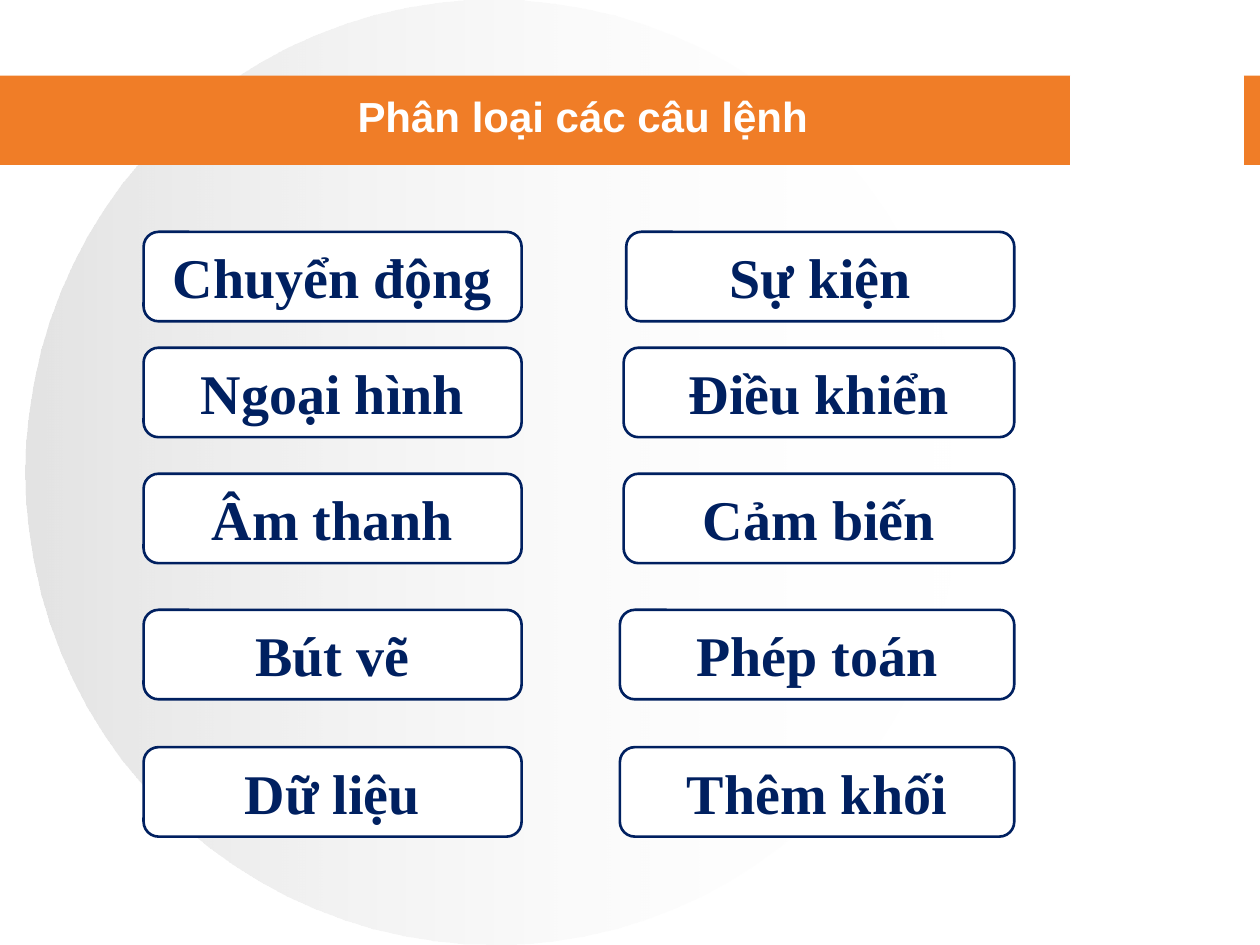
from lxml import etree
from pptx import Presentation
from pptx.dml.color import RGBColor
from pptx.enum.shapes import MSO_SHAPE
from pptx.enum.text import MSO_ANCHOR, MSO_AUTO_SIZE, PP_ALIGN
from pptx.oxml.ns import qn
from pptx.util import Inches, Pt

ELLIPSE = MSO_SHAPE.OVAL
RECTANGLE = MSO_SHAPE.RECTANGLE
ROUNDED = MSO_SHAPE.ROUNDED_RECTANGLE
TOP, MIDDLE = MSO_ANCHOR.TOP, MSO_ANCHOR.MIDDLE
CENTER = PP_ALIGN.CENTER
GROW = MSO_AUTO_SIZE.SHAPE_TO_FIT_TEXT
NO_FIT = MSO_AUTO_SIZE.NONE

WHITE, ORANGE, NAVY, SILVER = "FFFFFF", "F07D27", "002060", "C0C0C0"
TITLE_ONLY = 5
BAR_HEIGHT = 0.71
CARD_RIGHT = 8.05

ROWS = [
    (1.84, "Chuyển động", "Sự kiện", 4.97),
    (2.76, "Ngoại hình", "Điều khiển", 4.95),
    (3.76, "Âm thanh", "Cảm biến", 4.95),
    (4.84, "Bút vẽ", "Phép toán", 4.92),
    (5.93, "Dữ liệu", "Thêm khối", 4.92),
]


def color(value):
    return RGBColor.from_string(value)


def add_shape(page, kind, left, top, width, height, fill=None, line=None, weight=0.75):
    shape = page.shapes.add_shape(
        kind, Inches(left), Inches(top), Inches(width), Inches(height)
    )
    shape.shadow.inherit = False
    if fill:
        shape.fill.solid()
        shape.fill.fore_color.rgb = color(fill)
    if line:
        shape.line.color.rgb = color(line)
        shape.line.width = Pt(weight)
    else:
        shape.line.fill.background()
    return shape


def add_fading_circle(page):
    circle = add_shape(page, ELLIPSE, 0.2, 0, 7.44, 7.5)
    circle.fill.gradient()
    circle.fill.gradient_angle = 0
    for stop, value in zip(circle.fill.gradient_stops, (SILVER, WHITE)):
        stop.color.rgb = color(value)
    for element, opacity in zip(circle.element.spPr.iter(qn("a:srgbClr")), (44, 0)):
        alpha = etree.SubElement(element, qn("a:alpha"))
        alpha.set("val", str(opacity * 1000))


def write_text(frame, text, font_name, size, value):
    frame.word_wrap = True
    frame.text = text
    para = frame.paragraphs[0]
    para.alignment = CENTER
    para.font.name = font_name
    para.font.size = Pt(size)
    para.font.bold = True
    para.font.color.rgb = color(value)


def add_card(page, left, top, width, text):
    card = add_shape(page, ROUNDED, left, top, width, BAR_HEIGHT, WHITE, NAVY, 1.5)
    frame = card.text_frame
    frame.auto_size = GROW
    frame.vertical_anchor = MIDDLE
    write_text(frame, text, "Times New Roman", 32, NAVY)


def place_title(page, text):
    title = page.shapes.title
    title.left, title.top = Inches(0.5), Inches(0.67)
    title.width, title.height = Inches(8.25), Inches(1)
    frame = title.text_frame
    frame.auto_size = NO_FIT
    frame.vertical_anchor = TOP
    write_text(frame, text, "Arial", 24, WHITE)
    title.element.getparent().append(title.element)


def main():
    deck = Presentation()
    deck.slide_width, deck.slide_height = Inches(10), Inches(7.5)
    page = deck.slides.add_slide(deck.slide_layouts[TITLE_ONLY])
    add_fading_circle(page)
    add_shape(page, RECTANGLE, 0, 0.6, 10, BAR_HEIGHT, ORANGE)
    add_shape(page, RECTANGLE, 8.5, 0.6, 1.37, BAR_HEIGHT, WHITE, WHITE)
    for top, left_text, right_text, right_start in ROWS:
        add_card(page, 1.14, top, 3, left_text)
        add_card(page, right_start, top, CARD_RIGHT - right_start, right_text)
    place_title(page, "Phân loại các câu lệnh")
    deck.save("out.pptx")


if __name__ == "__main__":
    main()
